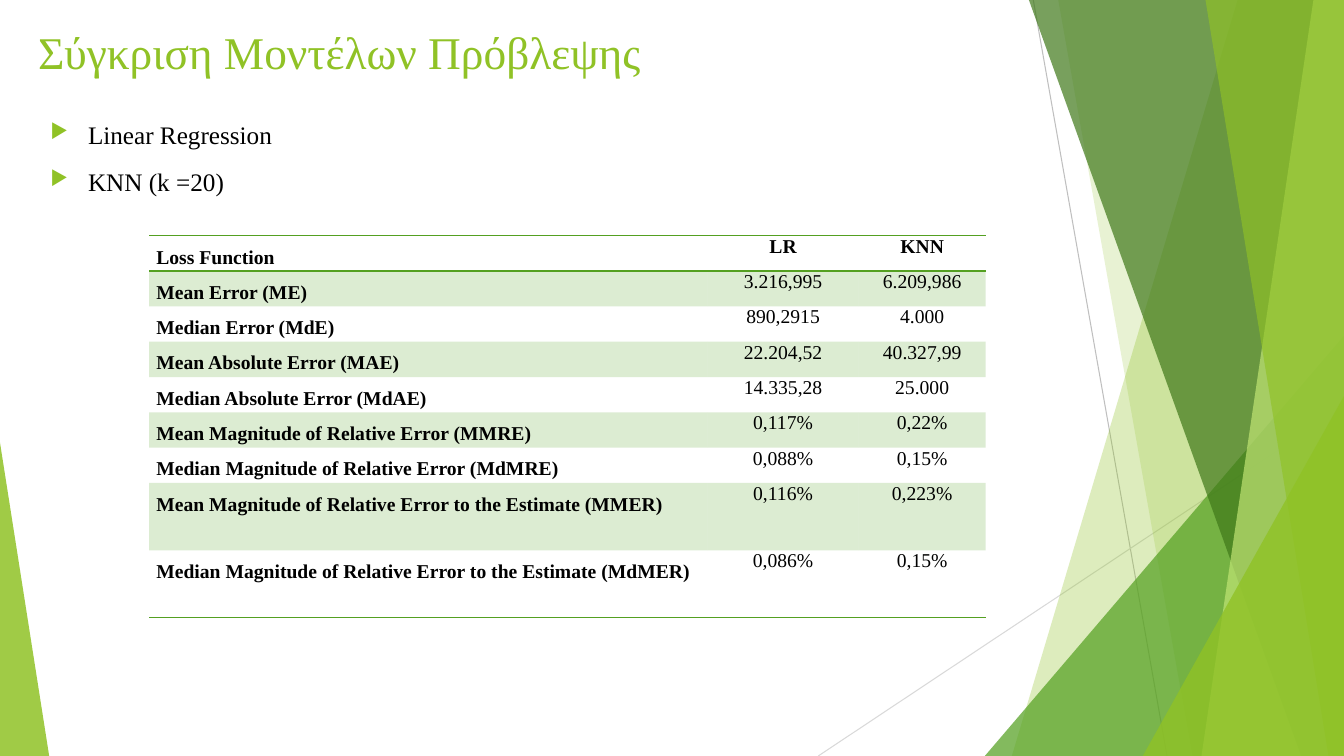
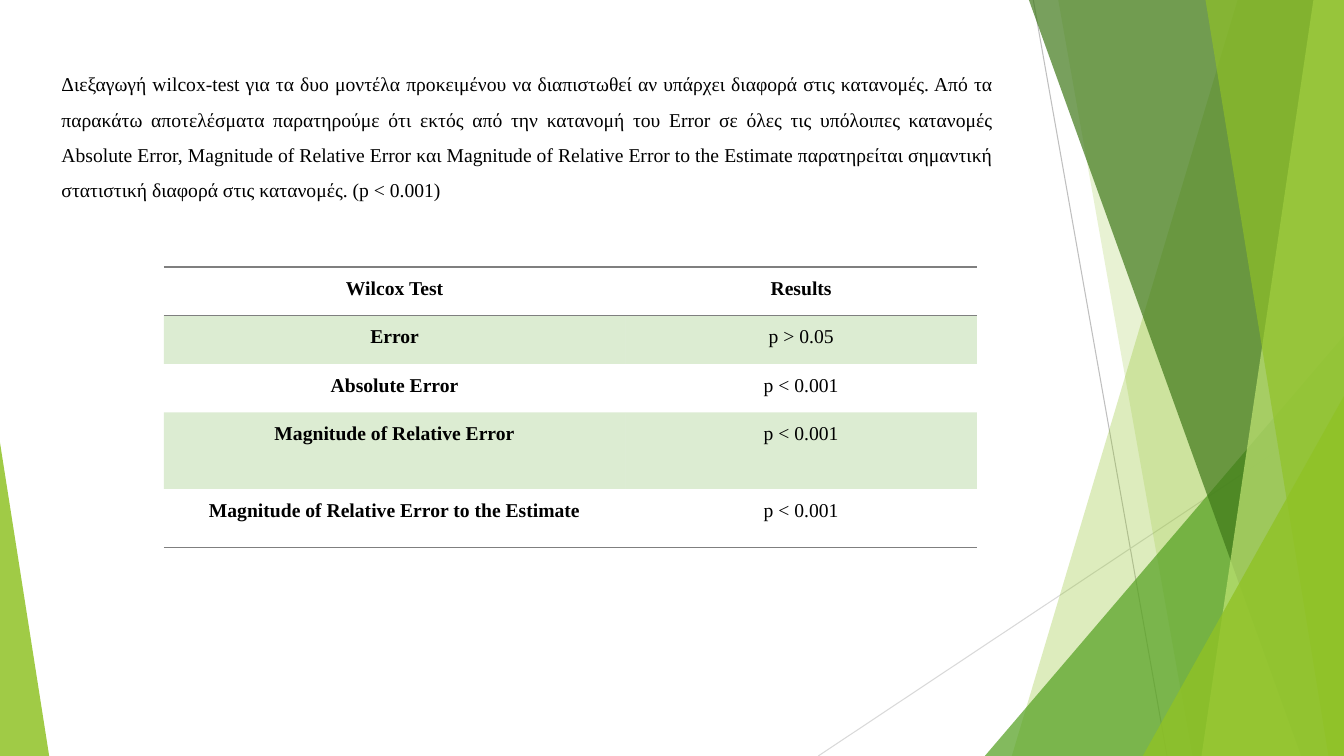
from dataclasses import dataclass
from typing import Optional, Union

import pptx
import pptx.dml.color
import pptx.enum.shapes
import pptx.enum.text
import pptx.oxml
import pptx.oxml.ns
import pptx.oxml.xmlchemy
import pptx.presentation
import pptx.shapes.base
import pptx.slide
import pptx.table
import pptx.text.text
import pptx.util
from pptx.dml.color import RGBColor
from pptx.util import Cm, Pt

ALIGN = pptx.enum.text.PP_ALIGN
SLIDE_WIDTH, SLIDE_HEIGHT = 33.87, 19.05
FONT = "Times New Roman"
BLACK = RGBColor(0x00, 0x00, 0x00)
LIME = RGBColor(0x90, 0xC2, 0x26)
PALE_LIME = RGBColor(0xC0, 0xE4, 0x74)
GREEN = RGBColor(0x54, 0xA0, 0x21)
DARK_GREEN = RGBColor(0x3F, 0x78, 0x19)
GRAY = RGBColor(0x7F, 0x7F, 0x7F)
SILVER = RGBColor(0xBF, 0xBF, 0xBF)
LIGHT_SILVER = RGBColor(0xD9, 0xD9, 0xD9)


@dataclass(frozen=True)
class Ray:
    start: tuple[float, float]
    end: tuple[float, float]
    color: RGBColor


@dataclass(frozen=True)
class Shard:
    """A slanted band that reaches the right edge of the slide."""
    top_x: float
    bottom_x: float
    color: RGBColor
    opacity: int


@dataclass(frozen=True)
class Peak:
    """A right-angled triangle that stands on the bottom edge."""
    left: float
    top: float
    right: float
    apex: float
    color: RGBColor
    opacity: int


@dataclass(frozen=True)
class Grid:
    left: float
    top: float
    columns: tuple[float, ...]
    heights: tuple[float, ...]
    rows: tuple[tuple[str, ...], ...]
    rule_color: RGBColor
    aligns: tuple[Optional[ALIGN], ...]
    spacings: tuple[float, ...]


RAYS = (
    Ray((26.04, 0), (29.41, SLIDE_HEIGHT), SILVER),
    Ray((SLIDE_WIDTH, 10.24), (20.62, SLIDE_HEIGHT), LIGHT_SILVER),
)
FACETS: tuple[Union[Shard, Peak], ...] = (
    Shard(31.19, 25.5, LIME, 30),
    Shard(26.67, 30.05, LIME, 20),
    Peak(24.82, 8.46, SLIDE_WIDTH, 1, GREEN, 72),
    Shard(25.93, 32.79, DARK_GREEN, 70),
    Shard(33.1, 30.28, PALE_LIME, 70),
    Shard(30.38, 33.48, LIME, 65),
    Peak(28.8, 9.98, SLIDE_WIDTH, 1, LIME, 80),
    Peak(0, 11.15, 1.24, 0, LIME, 85),
)

LOSSES = Grid(
    left=3.76, top=5.94,
    columns=(14.07, 3.81, 3.2),
    heights=(0.79, 0.84) + (0.79,) * 5 + (1.7,) * 2,
    rows=(
        ("Loss Function", "LR", "KNN"),
        ("Mean Error (ME)", "3.216,995", "6.209,986"),
        ("Median Error (MdE)", "890,2915", "4.000"),
        ("Mean Absolute Error (MAE)", "22.204,52", "40.327,99"),
        ("Median Absolute Error (MdAE)", "14.335,28", "25.000"),
        ("Mean Magnitude of Relative Error (MMRE)", "0,117%", "0,22%"),
        ("Median Magnitude of Relative Error (MdMRE)", "0,088%", "0,15%"),
        ("Mean Magnitude of Relative Error to the Estimate (MMER)", "0,116%", "0,223%"),
        ("Median Magnitude of Relative Error to the Estimate (MdMER)", "0,086%", "0,15%"),
    ),
    rule_color=GREEN,
    aligns=(ALIGN.LEFT, ALIGN.CENTER, ALIGN.CENTER),
    spacings=(1.5, 1.0, 1.0),
)
WILCOX = Grid(
    left=4.13, top=6.73,
    columns=(11.63, 8.86),
    heights=(1.22, 1.22, 1.22, 1.93, 1.47),
    rows=(
        ("Wilcox Test", "Results"),
        ("Error", "p > 0.05"),
        ("Absolute Error", "p < 0.001"),
        ("Magnitude of Relative Error", "p < 0.001"),
        ("Magnitude of Relative Error to the Estimate", "p < 0.001"),
    ),
    rule_color=GRAY,
    aligns=(ALIGN.CENTER, ALIGN.CENTER),
    spacings=(1.5, 1.5),
)
TITLE = "Σύγκριση Μοντέλων Πρόβλεψης"
MODELS = ("Linear Regression", "KNN (k =20)")
FINDINGS = (
    "Διεξαγωγή wilcox-test για τα δυο μοντέλα προκειμένου να διαπιστωθεί αν υπάρχει "
    "διαφορά στις κατανομές. Από τα παρακάτω αποτελέσματα παρατηρούμε ότι εκτός από "
    "την κατανομή του Error σε όλες τις υπόλοιπες κατανομές Absolute Error, Magnitude "
    "of Relative Error και Magnitude of Relative Error to the Estimate παρατηρείται "
    "σημαντική στατιστική διαφορά στις κατανομές. (p < 0.001)"
)


def add_xml(parent: pptx.oxml.xmlchemy.BaseOxmlElement, tag: str, **attributes: str):
    child = pptx.oxml.xmlchemy.OxmlElement(tag)
    for key, value in attributes.items():
        child.set(key, value)
    parent.append(child)
    return child


def set_opacity(element: pptx.oxml.xmlchemy.BaseOxmlElement, percent: int) -> None:
    for color in element.xpath(".//a:solidFill/a:srgbClr"):
        add_xml(color, "a:alpha", val=str(percent * 1000))


def draw_ray(slide: pptx.slide.Slide, ray: Ray) -> None:
    line = slide.shapes.add_connector(
        pptx.enum.shapes.MSO_CONNECTOR.STRAIGHT,
        *(Cm(length) for length in ray.start + ray.end))
    line.line.color.rgb = ray.color
    line.line.width = Pt(0.75)
    add_xml(line.element.spPr, "a:effectLst")


def draw_facet(slide: pptx.slide.Slide, facet: Union[Shard, Peak]) -> None:
    if isinstance(facet, Shard):
        outline = slide.shapes.build_freeform(Cm(facet.top_x), 0)
        outline.add_line_segments([
            (Cm(SLIDE_WIDTH), 0),
            (Cm(SLIDE_WIDTH), Cm(SLIDE_HEIGHT)),
            (Cm(facet.bottom_x), Cm(SLIDE_HEIGHT)),
        ])
        shape = outline.convert_to_shape()
    else:
        shape = slide.shapes.add_shape(
            pptx.enum.shapes.MSO_SHAPE.ISOSCELES_TRIANGLE,
            Cm(facet.left), Cm(facet.top),
            Cm(facet.right - facet.left), Cm(SLIDE_HEIGHT - facet.top))
        shape.adjustments[0] = facet.apex
    shape.shadow.inherit = False
    shape.fill.solid()
    shape.fill.fore_color.rgb = facet.color
    shape.line.fill.background()
    set_opacity(shape.element, facet.opacity)


def add_slide(deck: pptx.presentation.Presentation) -> pptx.slide.Slide:
    """Add a blank slide with the shared backdrop."""
    slide = deck.slides.add_slide(deck.slide_layouts[6])
    for ray in RAYS:
        draw_ray(slide, ray)
    for facet in FACETS:
        draw_facet(slide, facet)
    return slide


def style_runs(paragraph: pptx.text.text._Paragraph, size: float,
               color: RGBColor = BLACK, bold: bool = False) -> None:
    for run in paragraph.runs:
        run.font.name = FONT
        run.font.size = Pt(size)
        run.font.bold = bold
        run.font.color.rgb = color


def add_text(slide: pptx.slide.Slide, text: str, left: float, top: float, width: float,
             height: float, size: float, color: RGBColor = BLACK) -> pptx.text.text.TextFrame:
    frame = slide.shapes.add_textbox(Cm(left), Cm(top), Cm(width), Cm(height)).text_frame
    frame.word_wrap = True
    frame.text = text
    for paragraph in frame.paragraphs:
        style_runs(paragraph, size, color)
    return frame


def add_bullet(paragraph: pptx.text.text._Paragraph) -> None:
    properties = paragraph._p.get_or_add_pPr()
    properties.set("marL", str(Cm(0.95)))
    properties.set("indent", str(-Cm(0.95)))
    add_xml(add_xml(properties, "a:buClr"), "a:srgbClr", val=str(LIME))
    add_xml(properties, "a:buSzPct", val="80000")
    add_xml(properties, "a:buChar", char="▶")


def set_borders(cell: pptx.table._Cell, above: bool, below: bool, color: RGBColor) -> None:
    properties = cell._tc.get_or_add_tcPr()
    for side, ruled in zip("LRTB", (False, False, above, below)):
        border = add_xml(properties, f"a:ln{side}", w=str(Pt(1)))
        if ruled:
            add_xml(add_xml(border, "a:solidFill"), "a:srgbClr", val=str(color))
        else:
            add_xml(border, "a:noFill")


def fill_cell(cell: pptx.table._Cell, grid: Grid, row: int, column: int) -> None:
    cell.margin_left = cell.margin_right = Cm(0.18)
    cell.margin_top = cell.margin_bottom = 0
    cell.text_frame.text = grid.rows[row][column]
    paragraph = cell.text_frame.paragraphs[0]
    paragraph.alignment = grid.aligns[column]
    paragraph.line_spacing = grid.spacings[column]
    style_runs(paragraph, 14, bold=row == 0 or column == 0)

    ruled_edges = (0, 1, len(grid.rows))
    if row % 2:
        cell.fill.solid()
        cell.fill.fore_color.rgb = GREEN
        set_opacity(cell._tc.get_or_add_tcPr(), 20)
    else:
        cell.fill.background()
    properties = cell._tc.get_or_add_tcPr()
    background = properties[0]
    set_borders(cell, row in ruled_edges, row + 1 in ruled_edges, grid.rule_color)
    properties.append(background)  # the schema wants borders before the fill


def add_grid(slide: pptx.slide.Slide, grid: Grid) -> None:
    table = slide.shapes.add_table(
        len(grid.rows), len(grid.columns), Cm(grid.left), Cm(grid.top),
        Cm(sum(grid.columns)), Cm(sum(grid.heights))).table
    table.first_row = table.horz_banding = False
    for column, width in zip(table.columns, grid.columns):
        column.width = Cm(width)
    for row, height in zip(table.rows, grid.heights):
        row.height = Cm(height)
    for row in range(len(grid.rows)):
        for column in range(len(grid.columns)):
            fill_cell(table.cell(row, column), grid, row, column)


def add_comparison_slide(deck: pptx.presentation.Presentation) -> None:
    slide = add_slide(deck)
    add_text(slide, TITLE, 0.71, 0.48, 23.88, 1.6, 32.4, LIME)
    models = add_text(slide, "\n".join(MODELS), 1.02, 2.87, 11.63, 2.4, 18)
    for paragraph in models.paragraphs:
        paragraph.space_after = Pt(12)
        add_bullet(paragraph)
    add_grid(slide, LOSSES)


def add_wilcox_slide(deck: pptx.presentation.Presentation) -> None:
    slide = add_slide(deck)
    findings = add_text(slide, FINDINGS, 1.3, 1.4, 24, 3.8, 14).paragraphs[0]
    findings.alignment = ALIGN.JUSTIFY
    findings.line_spacing = 1.5
    add_grid(slide, WILCOX)


def main() -> None:
    deck = pptx.Presentation()
    deck.slide_width, deck.slide_height = Cm(SLIDE_WIDTH), Cm(SLIDE_HEIGHT)
    add_comparison_slide(deck)
    add_wilcox_slide(deck)
    deck.save("out.pptx")


if __name__ == "__main__":
    main()
